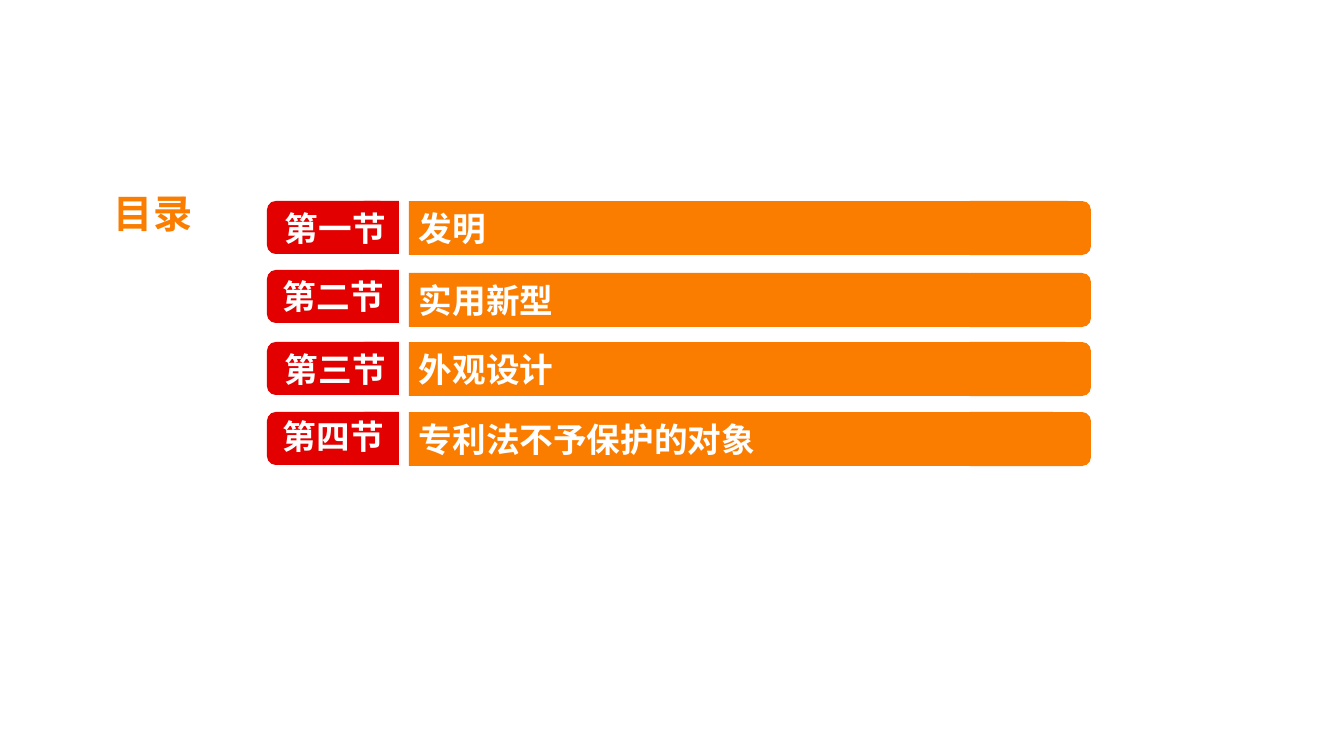
from lxml import etree
from pptx import Presentation
from pptx.dml.color import RGBColor
from pptx.enum.shapes import MSO_SHAPE
from pptx.enum.text import MSO_ANCHOR, PP_ALIGN
from pptx.oxml.ns import qn
from pptx.util import Emu, Pt

RECTANGLE = MSO_SHAPE.RECTANGLE
ROUNDED = MSO_SHAPE.ROUNDED_RECTANGLE
MIDDLE, TOP = MSO_ANCHOR.MIDDLE, MSO_ANCHOR.TOP
LEFT = PP_ALIGN.LEFT

# Content
HEADING = "目录"
SECTIONS = [  # label, title, badge top, bar top, label left, label top
    ("第一节", "发明", 201, 201, 275, 203),
    ("第二节", "实用新型", 270, 273, 273, 271),
    ("第三节", "外观设计", 342, 342, 275, 344),
    ("第四节", "专利法不予保护的对象", 412, 412, 273, 411),
]

# Style and layout, lengths in px
FONT = "Noto Sans CJK SC"
ORANGE, RED, WHITE = "FA7D00", "E20000", "FFFFFF"
SCALE = 914400 / 100.8
BADGE_HEIGHT, BAR_HEIGHT = 53, 54
BADGE_LEFT, BADGE_END, BADGE_ROUND = 267, 399, 122
BADGE_SQUARE = 35
BAR_LEFT, BAR_END, BAR_SQUARE = 409, 1091, 560
CAP_WIDTH = 130


def px(*lengths):
    return [Emu(round(length * SCALE)) for length in lengths]


def color(value):
    return RGBColor.from_string(value)


def write(shape, text, size, text_color, anchor):
    frame = shape.text_frame
    frame.vertical_anchor = anchor
    paragraph = frame.paragraphs[0]
    paragraph.alignment = LEFT
    run = paragraph.add_run()
    run.text = text
    for name, value in {"name": FONT, "size": Pt(size), "bold": True}.items():
        setattr(run.font, name, value)
    run.font.color.rgb = color(text_color)
    # East Asian typeface
    etree.SubElement(run.font._element, qn("a:ea"), typeface=FONT)


def add_block(slide, kind, box, fill):
    shape = slide.shapes.add_shape(kind, *px(*box))
    shape.shadow.inherit = False
    shape.fill.solid()
    shape.fill.fore_color.rgb = color(fill)
    shape.line.fill.background()
    return shape


def add_text(slide, box, text, size, text_color):
    shape = slide.shapes.add_textbox(*px(*box))
    shape.text_frame.word_wrap = False
    write(shape, text, size, text_color, TOP)


def main():
    presentation = Presentation()
    presentation.slide_width, presentation.slide_height = px(1344, 756)
    slide = presentation.slides.add_slide(presentation.slide_layouts[6])

    add_text(slide, (104, 184, 100, 57), HEADING, 28, ORANGE)

    for label, title, badge_top, bar_top, label_left, label_top in SECTIONS:
        # Red badge: rounded left end, square right end
        add_block(slide, ROUNDED,
                  (BADGE_LEFT, badge_top, BADGE_ROUND, BADGE_HEIGHT), RED)
        add_block(slide, RECTANGLE,
                  (BADGE_END - BADGE_SQUARE, badge_top, BADGE_SQUARE, BADGE_HEIGHT), RED)
        add_text(slide, (label_left, label_top, 122, 50), label, 24, WHITE)

        # Orange bar: square left end, rounded right end
        add_block(slide, ROUNDED,
                  (BAR_END - CAP_WIDTH, bar_top, CAP_WIDTH, BAR_HEIGHT), ORANGE)
        bar = add_block(slide, RECTANGLE,
                        (BAR_LEFT, bar_top, BAR_SQUARE, BAR_HEIGHT), ORANGE)
        write(bar, title, 24, WHITE, MIDDLE)

    presentation.save("out.pptx")


if __name__ == "__main__":
    main()
